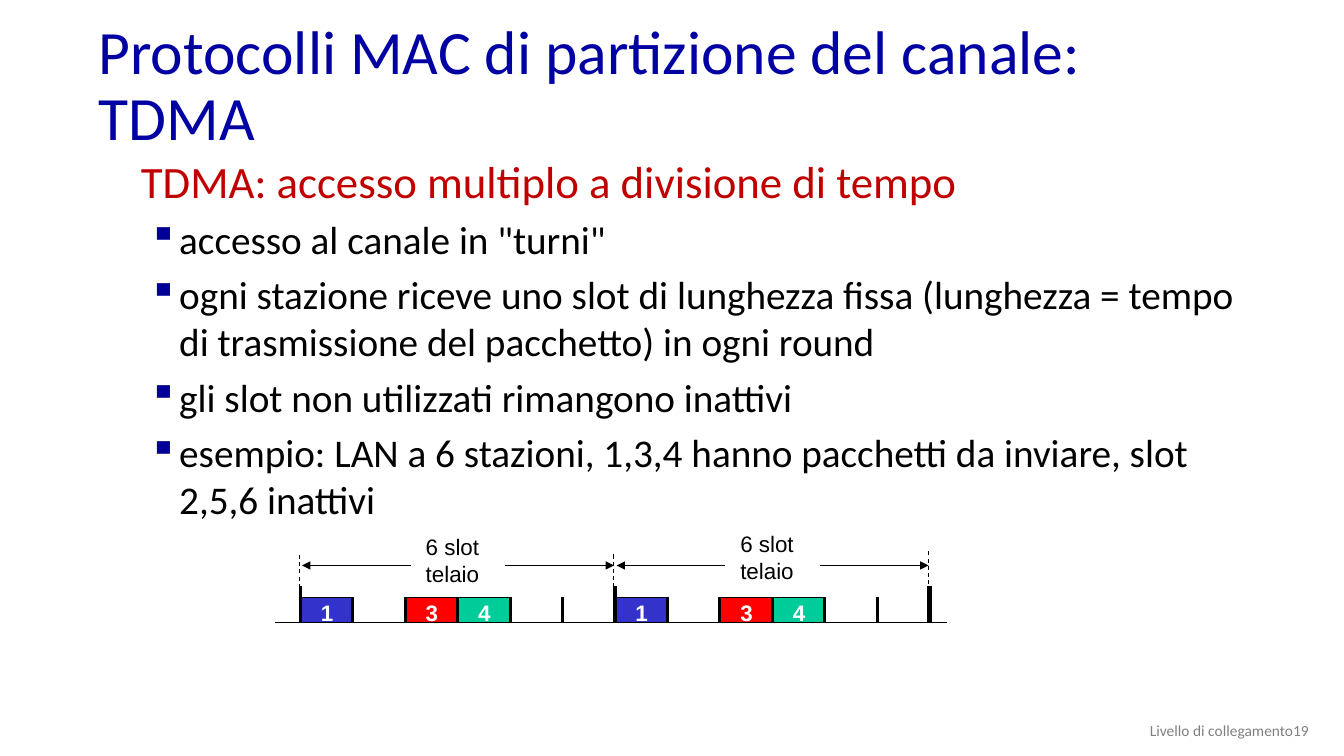
from dataclasses import dataclass

from lxml.etree import SubElement
from pptx import Presentation
from pptx.dml.color import RGBColor
from pptx.enum.dml import MSO_LINE
from pptx.enum.shapes import MSO_CONNECTOR, MSO_SHAPE
from pptx.enum.text import MSO_ANCHOR, MSO_AUTO_SIZE, PP_ALIGN
from pptx.oxml.ns import qn
from pptx.util import Inches, Pt


@dataclass(frozen=True)
class Theme:
    title: str = "0000A3"
    heading: str = "C00000"
    bullet: str = "000099"
    ink: str = "000000"
    footer: str = "808080"
    white: str = "FFFFFF"
    station_1: str = "3333CC"
    station_3: str = "FF0000"
    station_4: str = "00CC99"
    text_font: str = "Calibri"
    diagram_font: str = "Arial"
    title_size: float = 44
    heading_size: float = 32
    body_size: float = 28
    label_size: float = 16
    footer_size: float = 11
    thin: float = 0.75
    medium: float = 2.25
    thick: float = 3


@dataclass(frozen=True)
class Grid:
    left: float
    top: float
    column: float
    row: float

    def x(self, column):
        return Inches(self.left + column * self.column)

    def y(self, row):
        return Inches(self.top + row * self.row)

    def box(self, column, row, columns, rows):
        return (self.x(column), self.y(row),
                Inches(columns * self.column), Inches(rows * abs(self.row)))


WIDTH, HEIGHT = 13.33, 7.5
PAGE = Grid(0, 0, WIDTH / 100, HEIGHT / 100)
# One column per time slot; rows count upwards from the time axis.
TIMELINE = Grid(2.98, 6.18, 0.52, -0.25)
SLOTS_PER_FRAME = 6


class SlideBuilder:
    def __init__(self, slide, theme):
        self.slide = slide
        self.theme = theme
        self.shapes = slide.shapes

    def start_group(self):
        """Put the elements that follow into one new group."""
        self.shapes = self.slide.shapes.add_group_shape().shapes

    def end_group(self):
        self.shapes = self.slide.shapes

    def style(self, paragraph, size, color, font, bold=False):
        for run in paragraph.runs:
            run.font.size = Pt(size)
            run.font.name = font
            run.font.bold = bold
            run.font.color.rgb = RGBColor.from_string(color)

    def text(self, area, content, size, color, font, bold=False, wrap=True,
             anchor=MSO_ANCHOR.TOP, align=PP_ALIGN.LEFT, spacing=None):
        frame = self.shapes.add_textbox(*area).text_frame
        frame.text = content
        frame.word_wrap = wrap
        frame.vertical_anchor = anchor
        if not wrap:
            frame.auto_size = MSO_AUTO_SIZE.SHAPE_TO_FIT_TEXT
        for paragraph in frame.paragraphs:
            paragraph.alignment = align
            paragraph.line_spacing = spacing
            self.style(paragraph, size, color, font, bold)

    def bullets(self, area, heading, items):
        """Write a heading with a bulleted list under it in one box."""
        theme = self.theme
        frame = self.shapes.add_textbox(*area).text_frame
        frame.word_wrap = True
        frame.text = "\n".join([heading, *items])
        first, *points = frame.paragraphs
        self.indent(first, 0.38, -0.38)
        first.line_spacing = 0.75
        self.style(first, theme.heading_size, theme.heading, theme.text_font)
        for point in points:
            properties = self.indent(point, 0.38, -0.3)
            color = SubElement(properties, qn("a:buClr"))
            SubElement(color, qn("a:srgbClr"), val=theme.bullet)
            SubElement(properties, qn("a:buChar"), char="▪")
            point.space_before = Pt(6)
            self.style(point, theme.body_size, theme.ink, theme.text_font)

    def indent(self, paragraph, margin, first_line):
        properties = paragraph._p.get_or_add_pPr()
        properties.set("marL", str(Inches(margin)))
        properties.set("indent", str(Inches(first_line)))
        return properties

    def block(self, area, fill):
        block = self.shapes.add_shape(MSO_SHAPE.RECTANGLE, *area)
        block.shadow.inherit = False
        block.fill.solid()
        block.fill.fore_color.rgb = RGBColor.from_string(fill)
        block.line.color.rgb = RGBColor.from_string(self.theme.ink)
        block.line.width = Pt(self.theme.thin)

    def line(self, grid, start, end, width, dashed=False, arrow=False):
        line = self.shapes.add_connector(
            MSO_CONNECTOR.STRAIGHT, grid.x(start[0]), grid.y(start[1]),
            grid.x(end[0]), grid.y(end[1]))
        line.line.color.rgb = RGBColor.from_string(self.theme.ink)
        line.line.width = Pt(width)
        if dashed:
            line.line.dash_style = MSO_LINE.DASH
        if arrow:
            SubElement(line.line._get_or_add_ln(), qn("a:tailEnd"), type="triangle")
        SubElement(line._element.spPr, qn("a:effectLst"))


def draw_frame(builder, first_slot, label_row):
    """Draw one TDMA frame: busy slots, slot marks and the span above them."""
    theme = builder.theme
    stations = {1: theme.station_1, 3: theme.station_3, 4: theme.station_4}
    for station, color in stations.items():
        slot = first_slot + station - 1
        builder.block(TIMELINE.box(slot, 1, 1, 1), color)
        builder.text(TIMELINE.box(slot + 0.2, 1.16, 0.62, 1.48), str(station),
                     theme.label_size, theme.white, theme.diagram_font,
                     bold=True, wrap=False)
    for slot in range(first_slot + 1, first_slot + SLOTS_PER_FRAME):
        builder.line(TIMELINE, (slot, 0), (slot, 1.04), theme.medium)
    builder.text(TIMELINE.box(first_slot + 2.2, label_row, 1.48, 2.56),
                 "6 slot\ntelaio", theme.label_size, theme.ink,
                 theme.diagram_font, wrap=False)
    last_slot = first_slot + SLOTS_PER_FRAME
    for inner, edge in ((2.1, first_slot + 0.03), (3.9, last_slot - 0.02)):
        builder.line(TIMELINE, (first_slot + inner, 2.28), (edge, 2.28),
                     theme.thin, arrow=True)


def draw_timeline(builder):
    theme = builder.theme
    builder.start_group()
    builder.line(TIMELINE, (-0.48, 0), (12.33, 0), theme.thin)
    draw_frame(builder, 0, 3.76)
    draw_frame(builder, SLOTS_PER_FRAME, 3.88)
    boundaries = ((theme.medium, 2.7), (theme.thick, 2.72), (theme.thick, 2.84))
    for frame, (width, dash_top) in enumerate(boundaries):
        slot = frame * SLOTS_PER_FRAME
        builder.line(TIMELINE, (slot, 0), (slot, 1.48), width)
        builder.line(TIMELINE, (slot - 0.02, dash_top),
                     (slot - 0.02, dash_top - 1.32), theme.thin, dashed=True)
    builder.end_group()


def main():
    presentation = Presentation()
    presentation.slide_width = Inches(WIDTH)
    presentation.slide_height = Inches(HEIGHT)
    theme = Theme()
    slide = presentation.slides.add_slide(presentation.slide_layouts[6])
    builder = SlideBuilder(slide, theme)
    builder.text(PAGE.box(6.6, 5.07, 86.27, 13.07),
                 "Protocolli MAC di partizione del canale: TDMA",
                 theme.title_size, theme.title, theme.text_font,
                 anchor=MSO_ANCHOR.MIDDLE, spacing=0.9)
    builder.bullets(
        PAGE.box(9.75, 21.33, 83.95, 42.67),
        "TDMA: accesso multiplo a divisione di tempo",
        ['accesso al canale in "turni"',
         "ogni stazione riceve uno slot di lunghezza fissa (lunghezza = tempo "
         "di trasmissione del pacchetto) in ogni round",
         "gli slot non utilizzati rimangono inattivi",
         "esempio: LAN a 6 stazioni, 1,3,4 hanno pacchetti da inviare, slot "
         "2,5,6 inattivi"])
    draw_timeline(builder)
    builder.text(PAGE.box(75.62, 94, 22.51, 5.33), "Livello di collegamento19",
                 theme.footer_size, theme.footer, theme.text_font,
                 anchor=MSO_ANCHOR.MIDDLE, align=PP_ALIGN.RIGHT)
    presentation.save("out.pptx")


if __name__ == "__main__":
    main()
